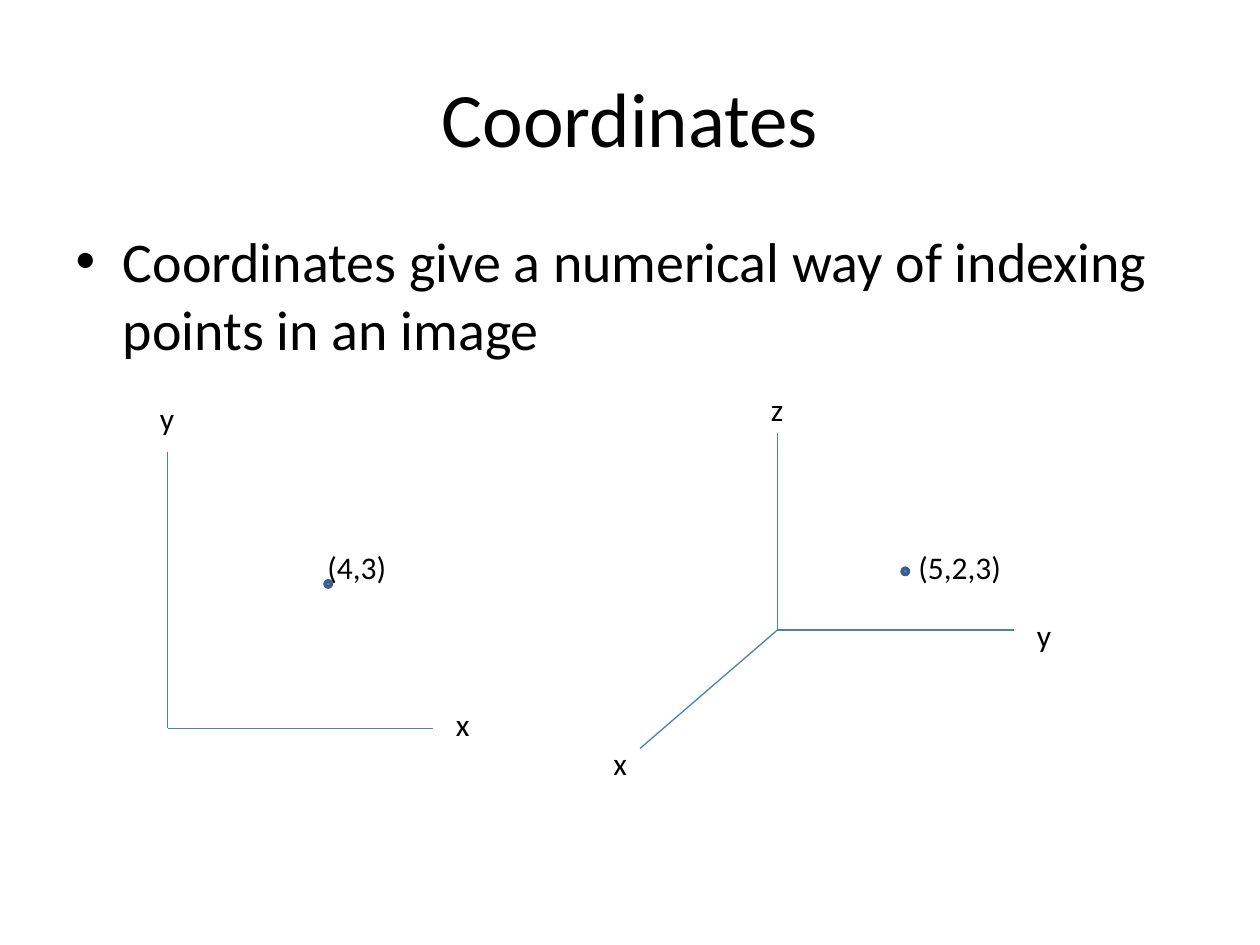
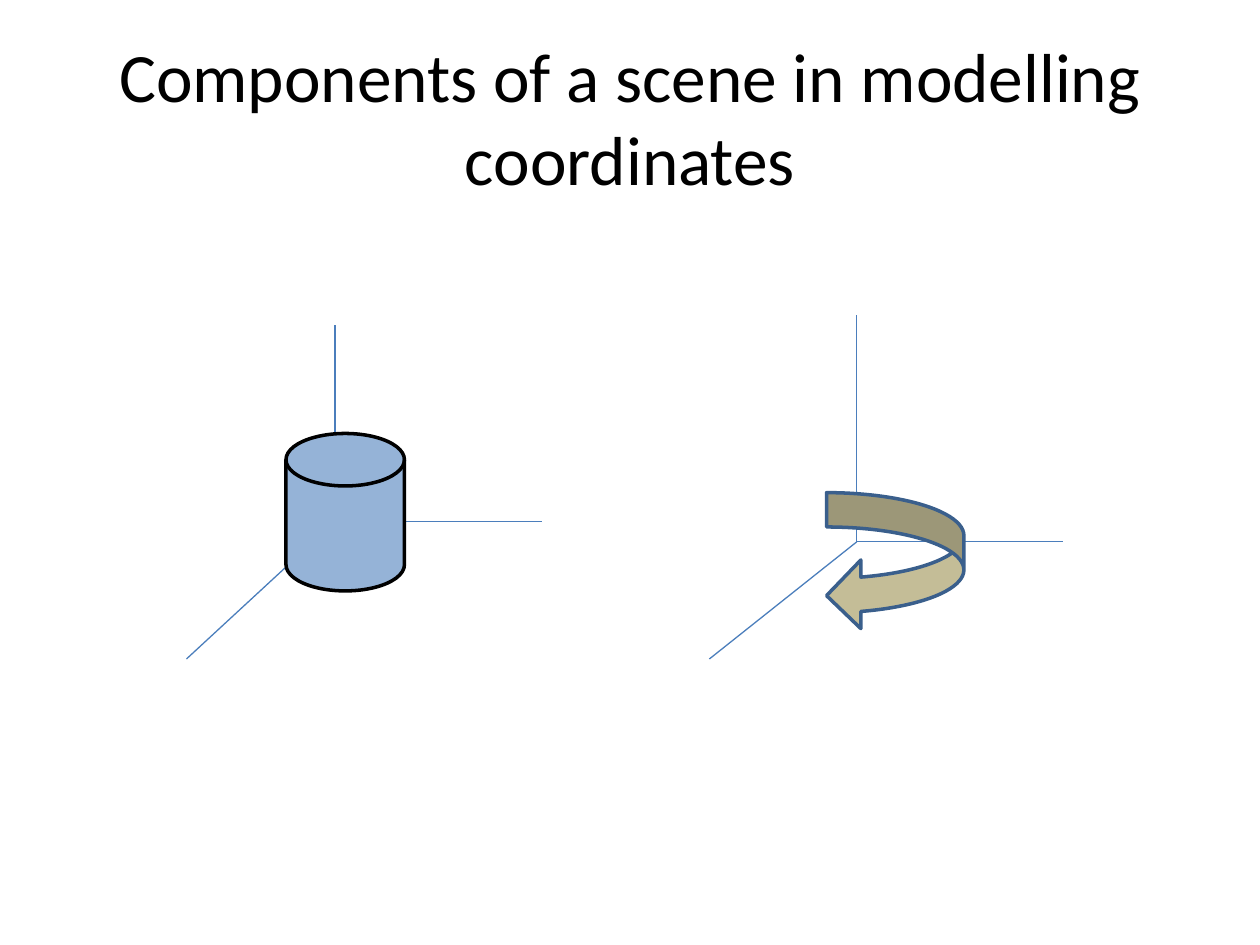
"""Two slides on coordinates: axes with points, and objects in modelling coordinates."""
import pptx
import pptx.util
import pptx.dml.color
import pptx.enum.shapes
import pptx.enum.text
import pptx.oxml.ns
from lxml import etree

Inches, Pt = pptx.util.Inches, pptx.util.Pt
RGBColor = pptx.dml.color.RGBColor
MSO_SHAPE = pptx.enum.shapes.MSO_SHAPE
PP_ALIGN = pptx.enum.text.PP_ALIGN
MSO_ANCHOR = pptx.enum.text.MSO_ANCHOR
MSO_AUTO_SIZE = pptx.enum.text.MSO_AUTO_SIZE

BLACK = RGBColor(0x00, 0x00, 0x00)
AXIS_BLUE = RGBColor(0x4B, 0x7E, 0xBC)
POINT_BLUE = RGBColor(0x4F, 0x81, 0xBD)
EDGE_BLUE = RGBColor(0x3A, 0x5F, 0x8C)
LIGHT_BLUE = RGBColor(0x95, 0xB3, 0xD7)
TAN = RGBColor(0xC4, 0xBD, 0x97)

TITLE_AND_CONTENT, TITLE_ONLY = 1, 5


class Deck:
    """Holds the shared style and the current slide."""

    font = {"name": "Calibri"}

    def __init__(self):
        """Start an empty 4:3 presentation."""
        self.prs = pptx.Presentation()
        self.prs.slide_width, self.prs.slide_height = Inches(10), Inches(7.5)
        self.s = None

    def place(self, sp, left, top, width, height):
        """Move and size a shape, in inches."""
        box = {"left": left, "top": top, "width": width, "height": height}
        for key, value in box.items():
            setattr(sp, key, Inches(value))

    def add_text(self, sp, text, size, **frame):
        """Put one formatted paragraph in a shape and return it."""
        tf = sp.text_frame
        for key, value in frame.items():
            setattr(tf, key, value)
        p = tf.paragraphs[0]
        r = p.add_run()
        r.text = text
        for key, value in {**self.font, "size": Pt(size)}.items():
            setattr(r.font, key, value)
        r.font.color.rgb = BLACK
        return p

    def slide(self, title, size=44, layout=TITLE_ONLY):
        """Add a slide with a centred title."""
        self.s = self.prs.slides.add_slide(self.prs.slide_layouts[layout])
        sp = self.s.shapes.title
        self.place(sp, 0.5, 0.3, 9, 1.25)
        p = self.add_text(sp, title, size, vertical_anchor=MSO_ANCHOR.MIDDLE,
                          auto_size=MSO_AUTO_SIZE.NONE)
        p.alignment = PP_ALIGN.CENTER

    def body(self, text):
        """Fill the content placeholder, which brings its own bullet."""
        sp = self.s.placeholders[1]
        self.place(sp, 0.5, 1.75, 9, 4.95)
        self.add_text(sp, text, 32)

    def axes(self, origin, *ends):
        """Draw a thin line from the origin to each axis end."""
        for end in ends:
            line = self.s.shapes.add_connector(
                pptx.enum.shapes.MSO_CONNECTOR.STRAIGHT,
                *map(Inches, origin + end))
            line.line.color.rgb = AXIS_BLUE
            line.line.width = Pt(0.75)
            etree.SubElement(line._element.spPr,
                             pptx.oxml.ns.qn("a:effectLst"))

    def label(self, text, left, top, width=0.32):
        """Add a small label on one line."""
        sp = self.s.shapes.add_textbox(*map(Inches, (left, top, width, 0.4)))
        self.add_text(sp, text, 18, word_wrap=False)

    def shape(self, kind, left, top, width, height, fill, edge=EDGE_BLUE):
        """Add a filled preset shape with a 2 pt edge."""
        sp = self.s.shapes.add_shape(
            kind, *map(Inches, (left, top, width, height)))
        sp.shadow.inherit = False
        sp.fill.solid()
        sp.fill.fore_color.rgb = fill
        sp.line.color.rgb = edge
        sp.line.width = Pt(2)

    def point(self, left, top):
        """Mark a point with a dot."""
        self.shape(MSO_SHAPE.OVAL, left, top, 0.05, 0.05, POINT_BLUE)


def coordinates(deck):
    """Show a point in 2D axes and a point in 3D axes."""
    deck.slide("Coordinates", layout=TITLE_AND_CONTENT)
    deck.body("Coordinates give a numerical way of indexing points in an image")

    deck.axes((1.33, 5.78), (1.33, 3.59), (3.44, 5.78))
    deck.label("y", 1.17, 3.12)
    deck.label("x", 3.52, 5.55)
    deck.point(2.58, 4.61)
    deck.label("(4,3)", 2.5, 4.3, 0.68)

    deck.axes((6.17, 5), (6.17, 3.44), (5.08, 5.94), (8.05, 5))
    deck.point(7.16, 4.51)
    deck.label("(5,2,3)", 7.19, 4.3, 0.87)
    deck.label("z", 6.02, 3.05)
    deck.label("x", 4.77, 5.86)
    deck.label("y", 8.13, 4.84)


def modelling(deck):
    """Show a cylinder and a curved arrow, each in its own axes."""
    deck.slide("Components of a scene in modelling coordinates", 39.6)
    deck.axes((2.66, 4.14), (2.66, 2.58), (1.48, 5.23), (4.3, 4.14))
    deck.shape(MSO_SHAPE.FLOWCHART_MAGNETIC_DISK, 2.27, 3.44, 0.94, 1.25,
               LIGHT_BLUE, BLACK)
    deck.axes((6.8, 4.3), (6.8, 2.5), (5.63, 5.23), (8.44, 4.3))
    deck.shape(MSO_SHAPE.CURVED_LEFT_ARROW, 6.56, 3.91, 1.09, 1.09, TAN)


deck = Deck()
coordinates(deck)
modelling(deck)
deck.prs.save("out.pptx")
